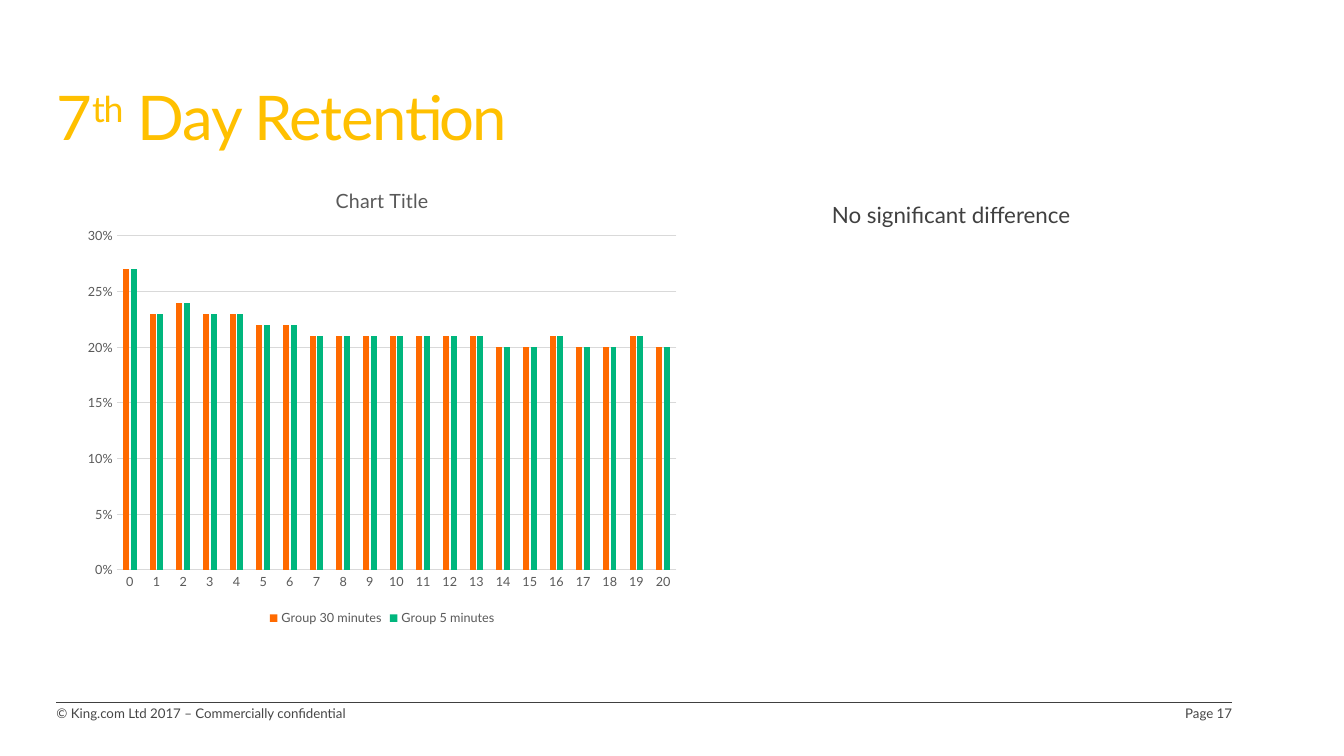
from dataclasses import dataclass

from lxml.etree import SubElement
from pptx import Presentation
from pptx.chart.data import CategoryChartData
from pptx.dml.color import RGBColor
from pptx.enum.chart import XL_CHART_TYPE, XL_LEGEND_POSITION, XL_TICK_MARK
from pptx.enum.shapes import MSO_CONNECTOR
from pptx.enum.text import MSO_ANCHOR, PP_ALIGN
from pptx.oxml.ns import qn
from pptx.util import Inches, Pt

FONT = "Lato"
COLORS = {
    "title": "FFC000",
    "body": "404040",
    "footer": "464646",
    "axis": "595959",
    "grid": "D9D9D9",
    "thirty": "FF6A00",
    "five": "00B67D",
}
RETENTION = [0.27, 0.23, 0.24, 0.23, 0.23, 0.22, 0.22] + [0.21] * 7 + [
    0.20, 0.20, 0.21, 0.20, 0.20, 0.21, 0.20]


@dataclass
class Label:
    text: str
    left: float
    top: float
    width: float
    height: float
    size: float
    color: str
    align: PP_ALIGN = PP_ALIGN.LEFT


@dataclass
class Group:
    name: str
    values: list[float]
    color: str


LABELS = [
    Label("No significant difference", 8.25, 2, 4.08, 0.27, 16, "body"),
    Label("© King.com Ltd 2017 – Commercially confidential",
          0.56, 7, 4.25, 0.29, 9.5, "footer"),
    Label("Page 17", 11.43, 7, 0.79, 0.13, 9.5, "footer", PP_ALIGN.RIGHT),
]
GROUPS = [
    Group("Group 30 minutes", RETENTION, "thirty"),
    Group("Group 5 minutes", RETENTION, "five"),
]


def rgb(name: str) -> RGBColor:
    return RGBColor.from_string(COLORS[name])


def style_font(font, size: float, color: str) -> None:
    font.name = FONT
    font.size = Pt(size)
    font.bold = False
    font.color.rgb = rgb(color)


def clear_margins(tf) -> None:
    tf.margin_left = tf.margin_top = tf.margin_right = tf.margin_bottom = 0
    tf.word_wrap = True


def add_title(slide) -> None:
    sp = slide.shapes.title
    sp.left, sp.top = Inches(0.56), Inches(0.52)
    sp.width, sp.height = Inches(12.32), Inches(1.38)
    tf = sp.text_frame
    clear_margins(tf)
    tf.vertical_anchor = MSO_ANCHOR.MIDDLE
    p = tf.paragraphs[0]
    p.alignment = PP_ALIGN.LEFT
    p.line_spacing = 0.85
    for text, baseline in (("7", 0), ("th", 30000), (" Day Retention", 0)):
        r = p.add_run()
        r.text = text
        style_font(r.font, 44, "title")
        props = r._r.get_or_add_rPr()
        props.set("spc", "-100")
        props.set("baseline", str(baseline))


def add_label(slide, label: Label) -> None:
    sp = slide.shapes.add_textbox(Inches(label.left), Inches(label.top),
                                  Inches(label.width), Inches(label.height))
    tf = sp.text_frame
    clear_margins(tf)
    tf.text = label.text
    p = tf.paragraphs[0]
    p.alignment = label.align
    style_font(p.runs[0].font, label.size, label.color)


def add_footer_rule(slide) -> None:
    line = slide.shapes.add_connector(
        MSO_CONNECTOR.STRAIGHT,
        Inches(12.22), Inches(6.97), Inches(0.56), Inches(6.97))
    line.line.color.rgb = rgb("body")
    line.line.width = Pt(0.5)
    SubElement(line._element.spPr, qn("a:effectLst"))


def style_line(line) -> None:
    line.color.rgb = rgb("grid")
    line.width = Pt(0.75)


def add_retention_chart(slide) -> None:
    data = CategoryChartData(number_format="0%")
    data.categories = [str(day) for day in range(len(RETENTION))]
    for group in GROUPS:
        data.add_series(group.name, group.values)
    chart = slide.shapes.add_chart(
        XL_CHART_TYPE.COLUMN_CLUSTERED, Inches(0.75), Inches(1.67),
        Inches(6.08), Inches(4.58), data).chart
    style_font(chart.font, 10, "axis")

    # Chart title and legend
    chart.has_title = True
    chart.chart_title.include_in_layout = False
    tf = chart.chart_title.text_frame
    tf.text = "Chart Title"
    style_font(tf.paragraphs[0].runs[0].font, 14, "axis")
    chart.has_legend = True
    chart.legend.position = XL_LEGEND_POSITION.BOTTOM
    chart.legend.include_in_layout = False
    style_font(chart.legend.font, 9, "axis")

    # Axes
    for axis in (chart.category_axis, chart.value_axis):
        axis.major_tick_mark = axis.minor_tick_mark = XL_TICK_MARK.NONE
        style_font(axis.tick_labels.font, 9, "axis")
    style_line(chart.category_axis.format.line)
    values = chart.value_axis
    values.minimum_scale, values.maximum_scale = 0, 0.3
    values.major_unit = 0.05
    values.tick_labels.number_format = "0%"
    values.tick_labels.number_format_is_linked = False
    values.format.line.fill.background()
    style_line(values.major_gridlines.format.line)

    # Columns
    plot = chart.plots[0]
    plot.vary_by_categories = False
    plot.gap_width = 219
    plot.overlap = -27
    for series, group in zip(plot.series, GROUPS):
        series.format.fill.solid()
        series.format.fill.fore_color.rgb = rgb(group.color)


def main() -> None:
    prs = Presentation()
    prs.slide_width, prs.slide_height = Inches(13.33), Inches(7.5)
    slide = prs.slides.add_slide(prs.slide_layouts[5])
    add_footer_rule(slide)
    add_title(slide)
    add_retention_chart(slide)
    for label in LABELS:
        add_label(slide, label)
    prs.save("out.pptx")


if __name__ == "__main__":
    main()
